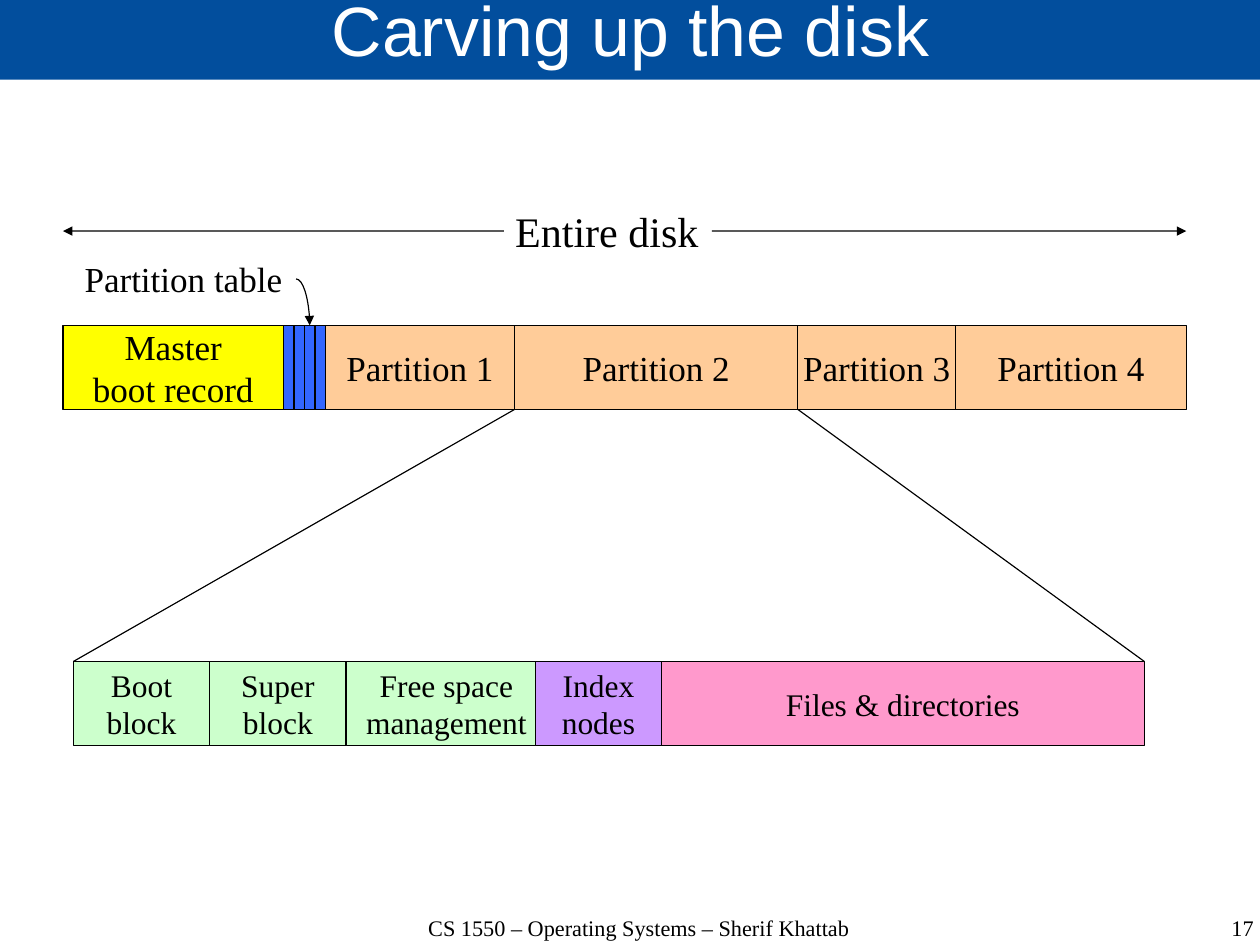
from dataclasses import dataclass
from typing import Optional

from lxml import etree
from pptx import Presentation
from pptx.dml.color import RGBColor
from pptx.enum.shapes import MSO_CONNECTOR as CONN, MSO_SHAPE as SHAPE
from pptx.enum.text import MSO_ANCHOR as ANCHOR, MSO_AUTO_SIZE as AUTO, PP_ALIGN as ALIGN
from pptx.oxml.ns import qn
from pptx.util import Cm, Pt

SERIF = "Times New Roman"
BLACK = "000000"
LEFT, RIGHT = 1, 3  # connection sites
ROW_H = 1.87
DISK_X, DISK_Y = 1.4, 7.23
PART_Y = 14.7
SLOT_W = 0.233


@dataclass
class Block:
    x: float
    w: float
    fill: str
    text: str = ""


@dataclass
class Label:
    text: str
    x: float
    y: float
    w: float
    h: float
    size: float
    align: ALIGN = ALIGN.LEFT
    spacing: Optional[float] = None
    fitted: bool = True


def rgb(value: str) -> RGBColor:
    return RGBColor.from_string(value)


def write(sp, text: str, size: float, align=ALIGN.CENTER, color: str = BLACK,
          font: str = SERIF, spacing: Optional[float] = None, **frame) -> None:
    tf = sp.text_frame
    for name, value in frame.items():
        setattr(tf, name, value)
    p = tf.paragraphs[0]
    p.text = text
    p.alignment = align
    if spacing:
        p.line_spacing = spacing
    for r in p.runs:
        for name, value in {"name": font, "size": Pt(size)}.items():
            setattr(r.font, name, value)
        r.font.color.rgb = rgb(color)


def add_rect(shapes, x: float, y: float, w: float, h: float, fill: str, outlined: bool = True):
    sp = shapes.add_shape(SHAPE.RECTANGLE, Cm(x), Cm(y), Cm(w), Cm(h))
    sp.shadow.inherit = False
    sp.fill.solid()
    sp.fill.fore_color.rgb = rgb(fill)
    if outlined:
        sp.line.color.rgb = rgb(BLACK)
        sp.line.width = Pt(0.75)
    else:
        sp.line.fill.background()
    return sp


def add_row(shapes, blocks: list[Block], y: float, size: float) -> None:
    for b in blocks:
        sp = add_rect(shapes, b.x, y, b.w, ROW_H, b.fill)
        if b.text:
            write(sp, b.text, size, word_wrap=False, vertical_anchor=ANCHOR.MIDDLE)


def add_label(shapes, lb: Label):
    sp = shapes.add_textbox(Cm(lb.x), Cm(lb.y), Cm(lb.w), Cm(lb.h))
    if lb.fitted:
        frame = {"word_wrap": False, "auto_size": AUTO.SHAPE_TO_FIT_TEXT}
    else:
        frame = {"word_wrap": True, **NO_MARGINS}
    write(sp, lb.text, lb.size, lb.align, spacing=lb.spacing, **frame)
    return sp


def add_line(shapes, x1: float, y1: float, x2: float, y2: float,
             arrow: bool = False, kind=CONN.STRAIGHT):
    cn = shapes.add_connector(kind, Cm(x1), Cm(y1), Cm(x2), Cm(y2))
    cn.line.color.rgb = rgb(BLACK)
    cn.line.width = Pt(0.75)
    props = cn._element.spPr
    if arrow:
        etree.SubElement(props.find(qn("a:ln")), qn("a:tailEnd"), type="triangle")
    etree.SubElement(props, qn("a:effectLst"))
    return cn


NO_MARGINS = {f"margin_{side}": 0 for side in ("left", "top", "right", "bottom")}

YELLOW, BLUE, PEACH = "FFFF00", "3366FF", "FFCC99"
GREEN, VIOLET, PINK = "CCFFCC", "CC99FF", "FF99CC"

slots_x = DISK_X + 4.9
DISK = [
    Block(DISK_X, 4.9, YELLOW, "Master\nboot record"),
    *(Block(slots_x + i * SLOT_W, SLOT_W, BLUE) for i in range(4)),
]
disk_end = slots_x + 4 * SLOT_W
for number, width in enumerate((4.2, 6.3, 3.5, 5.13), start=1):
    DISK.append(Block(disk_end, width, PEACH, f"Partition {number}"))
    disk_end += width

PARTITION = [
    Block(1.63, 3.03, GREEN, "Boot\nblock"),
    Block(4.66, 3.03, GREEN, "Super\nblock"),
    Block(7.7, 4.44, GREEN, "Free space\nmanagement"),
    Block(11.9, 2.8, VIOLET, "Index\nnodes"),
    Block(14.7, 10.73, PINK, "Files & directories"),
]

ENTIRE_DISK = Label("Entire disk", 11.2, 4.44, 4.62, 1.39, 26.5)
LABELS = [
    Label("Partition table", 1.63, 5.6, 4.93, 1.19, 22.1),
    Label("CS 1550 – Operating Systems – Sherif Khattab", 7.8, 20.35, 12.8, 1.4, 14,
          ALIGN.CENTER, 0.96, False),
    Label("17", 21.44, 20.35, 6.42, 1.4, 14, ALIGN.RIGHT, 0.96, False),
]


def main() -> None:
    prs = Presentation()
    prs.slide_width, prs.slide_height = Cm(28), Cm(21)
    shapes = prs.slides.add_slide(prs.slide_layouts[6]).shapes

    # Title band
    band = add_rect(shapes, 0, -0.05, 28.04, 1.82, "024E9D", outlined=False)
    write(band, "Carving up the disk", 44, color="FFFFFF", font="Arial", spacing=0.69,
          word_wrap=True, vertical_anchor=ANCHOR.MIDDLE, **NO_MARGINS)

    # Disk, partition contents and captions
    add_row(shapes, DISK, DISK_Y, 22.1)
    add_row(shapes, PARTITION, PART_Y, 19.8)
    for lb in LABELS:
        add_label(shapes, lb)

    # Extent of the entire disk
    extent = add_label(shapes, ENTIRE_DISK)
    mid_y = ENTIRE_DISK.y + ENTIRE_DISK.h / 2
    label_end = ENTIRE_DISK.x + ENTIRE_DISK.w
    for start, end, site in ((ENTIRE_DISK.x, DISK_X, LEFT), (label_end, disk_end, RIGHT)):
        arrow = add_line(shapes, start, mid_y, end, mid_y, arrow=True)
        arrow.begin_connect(extent, site)

    # Curved pointer to the third table slot
    curve = add_line(shapes, 6.58, 6.2, slots_x + 2.5 * SLOT_W, DISK_Y, True, CONN.CURVE)
    curve._element.spPr.find(qn("a:prstGeom")).set("prst", "curvedConnector2")

    # Zoom lines from partition 2 to its contents
    zoomed = next(b for b in DISK if b.text == "Partition 2")
    first, last = PARTITION[0], PARTITION[-1]
    for top_x, bottom_x in ((zoomed.x, first.x), (zoomed.x + zoomed.w, last.x + last.w)):
        add_line(shapes, top_x, DISK_Y + ROW_H, bottom_x, PART_Y)

    prs.save("out.pptx")


if __name__ == "__main__":
    main()
